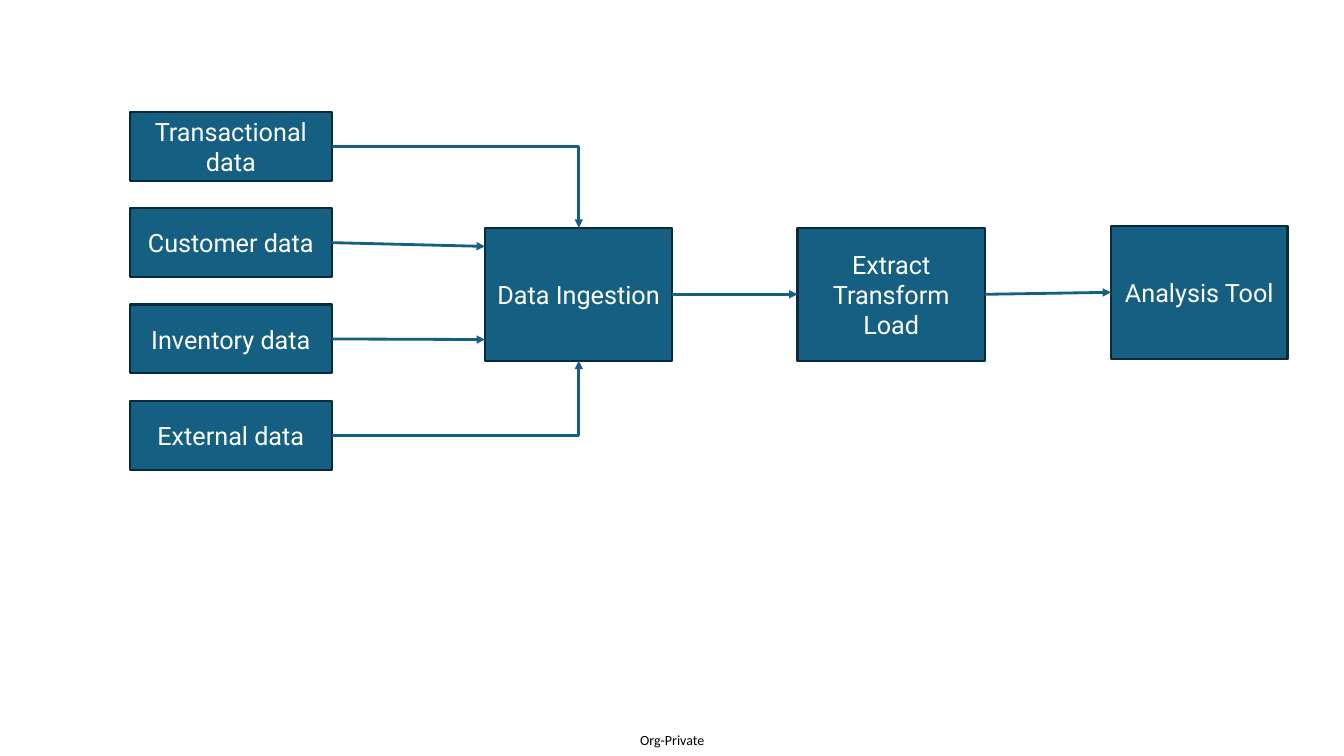
import pptx
import pptx.util
import pptx.dml.color
import pptx.enum.shapes
import pptx.enum.text
import pptx.oxml.ns
import lxml.etree

Inches, Pt = pptx.util.Inches, pptx.util.Pt
RGBColor = pptx.dml.color.RGBColor
SHAPE = pptx.enum.shapes.MSO_SHAPE
CONNECTOR = pptx.enum.shapes.MSO_CONNECTOR
ALIGN = pptx.enum.text.PP_ALIGN
ANCHOR = pptx.enum.text.MSO_ANCHOR
qn = pptx.oxml.ns.qn

BLUE = RGBColor(0x15, 0x60, 0x82)
NAVY = RGBColor(0x09, 0x2A, 0x39)
WHITE = RGBColor(0xFF, 0xFF, 0xFF)
BLACK = RGBColor(0, 0, 0)

SLIDE_W, SLIDE_H = Inches(13.33), Inches(7.5)
TOP, LEFT, BOTTOM, RIGHT = range(4)  # connection sites of a rectangle

SOURCES = ["Transactional data", "Customer data", "Inventory data", "External data"]
# text, left, top and width in inches
STAGES = [
    ("Data Ingestion", 4.81, 2.26, 1.86),
    ("Extract\nTransform\nLoad", 7.91, 2.26, 1.86),
    ("Analysis Tool", 11.02, 2.24, 1.75),
]
STAGE_H = Inches(1.32)


def format_text(tf, font, size, color, align):
    for p in tf.paragraphs:
        p.alignment = align
        for r in p.runs:
            r.font.name = font
            r.font.size = Pt(size)
            r.font.color.rgb = color


def add_box(slide, text, left, top, width, height):
    sp = slide.shapes.add_shape(SHAPE.RECTANGLE, left, top, width, height)
    sp.shadow.inherit = False
    sp.fill.solid()
    sp.fill.fore_color.rgb = BLUE
    sp.line.color.rgb = NAVY
    sp.line.width = Pt(1.5)
    tf = sp.text_frame
    tf.text = text
    tf.word_wrap = True
    tf.vertical_anchor = ANCHOR.MIDDLE
    format_text(tf, "Roboto", 18, WHITE, ALIGN.CENTER)
    return sp


def add_arrow(slide, source, target, site=LEFT, share=None):
    """Arrow from the right of source to a site of target, or to a share of its left side."""
    kind = CONNECTOR.STRAIGHT if site == LEFT else CONNECTOR.ELBOW
    end_y = target.top + int(target.height * (share or 0))
    cx = slide.shapes.add_connector(
        kind, source.left + source.width, source.top + source.height // 2, target.left, end_y)
    cx.begin_connect(source, RIGHT)
    if share is None:
        cx.end_connect(target, site)
    cx.line.color.rgb = BLUE
    cx.line.width = Pt(2)
    sp_pr = cx._element.spPr
    if kind == CONNECTOR.ELBOW:  # a single bend
        sp_pr.find(qn("a:prstGeom")).set("prst", "bentConnector2")
    lxml.etree.SubElement(sp_pr.find(qn("a:ln")), qn("a:tailEnd"), type="triangle")
    lxml.etree.SubElement(sp_pr, qn("a:effectLst"))


def add_sources(slide, left, top, width, height):
    """Equal boxes stacked in the given area, with a gap of 0.4 box heights."""
    box_h = height / (len(SOURCES) + 0.4 * (len(SOURCES) - 1))
    return [add_box(slide, text, left, int(top + i * 1.4 * box_h), width, int(box_h))
            for i, text in enumerate(SOURCES)]


def add_stages(slide):
    return [add_box(slide, text, Inches(left), Inches(top), Inches(width), STAGE_H)
            for text, left, top, width in STAGES]


def add_footer(slide, left, top, width, height):
    tf = slide.shapes.add_textbox(left, top, width, height).text_frame
    tf.margin_left = tf.margin_right = tf.margin_top = tf.margin_bottom = 0
    tf.word_wrap = False
    tf.text = "Org-Private"
    format_text(tf, "Calibri", 10, BLACK, ALIGN.LEFT)


def main():
    prs = pptx.Presentation()
    prs.slide_width, prs.slide_height = SLIDE_W, SLIDE_H
    slide = prs.slides.add_slide(prs.slide_layouts[6])

    # Footer label
    add_footer(slide, Inches(6.35), Inches(7.26), Inches(0.67), Inches(0.17))

    # Boxes
    sources = add_sources(slide, Inches(1.29), Inches(1.11), Inches(2), Inches(3.55))
    stages = add_stages(slide)
    transactional, customer, inventory, external = sources
    ingestion = stages[0]

    # Arrows into ingestion
    add_arrow(slide, transactional, ingestion, site=TOP)
    add_arrow(slide, customer, ingestion, share=0.14)
    add_arrow(slide, inventory, ingestion, share=0.84)
    add_arrow(slide, external, ingestion, site=BOTTOM)

    # Arrows between stages
    for source, target in zip(stages, stages[1:]):
        add_arrow(slide, source, target)

    prs.save("out.pptx")


if __name__ == "__main__":
    main()
